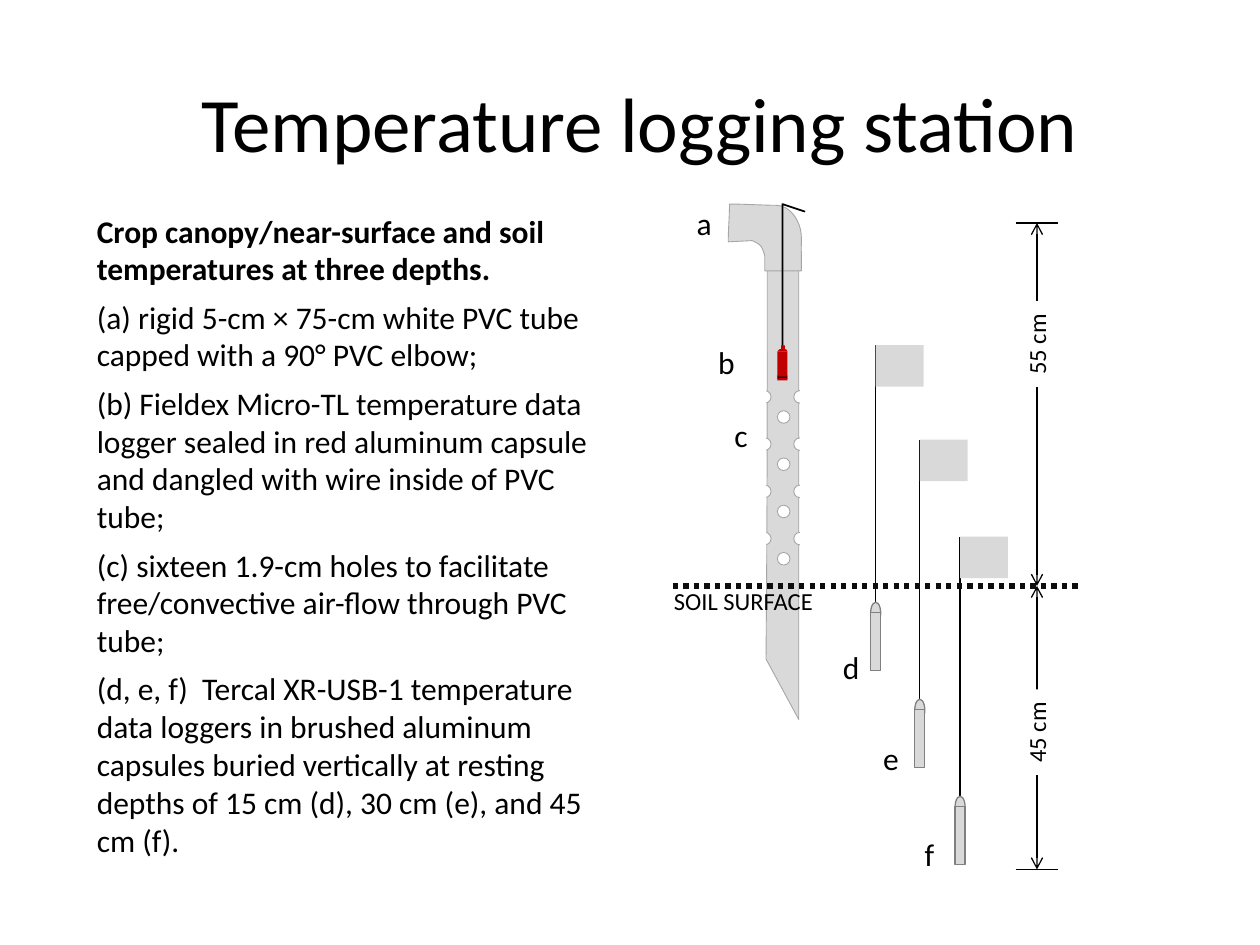
from dataclasses import dataclass

from lxml.etree import SubElement
from pptx import Presentation
from pptx.dml.color import RGBColor
from pptx.enum.dml import MSO_LINE
from pptx.enum.shapes import MSO_CONNECTOR, MSO_SHAPE
from pptx.enum.text import MSO_ANCHOR, MSO_AUTO_SIZE, PP_ALIGN
from pptx.oxml.ns import qn
from pptx.util import Inches, Pt


@dataclass(frozen=True)
class Theme:
    font: str = "Calibri"
    title: int = 44
    body: int = 18
    note: int = 14
    black: str = "000000"
    white: str = "FFFFFF"
    soil: str = "0D0D0D"
    pvc: str = "D9D9D9"
    pvc_edge: str = "A6A6A6"
    metal_edge: str = "808080"
    red: str = "C00000"


THEME = Theme()

BODY = [
    "Crop canopy/near-surface and soil temperatures at three depths.",
    "(a) rigid 5-cm × 75-cm white PVC tube capped with a 90° PVC elbow;",
    "(b) Fieldex Micro-TL temperature data logger sealed in red aluminum "
    "capsule and dangled with wire inside of PVC tube;",
    "(c) sixteen 1.9-cm holes to facilitate free/convective air-flow through "
    "PVC tube;",
    "(d, e, f)  Tercal XR-USB-1 temperature data loggers in brushed aluminum "
    "capsules buried vertically at resting depths of 15 cm (d), 30 cm (e), "
    "and 45 cm (f).",
]
LABELS = [("a", 5.43, 1.57), ("b", 5.6, 2.67), ("c", 5.73, 3.25),
          ("d", 6.59, 5.09), ("e", 6.91, 5.82), ("f", 7.24, 6.58)]

# Outlines: a pair is a corner, six numbers are a Bézier curve
TUBE = [(6.09, 2.09), (6.34, 2.09), (6.34, 5.71), (6.08, 5.23),
        (6.09, 4.19, 6.09, 3.14, 6.09, 2.09)]
ELBOW = [(6.36, 2.15), (6.07, 2.15), (6.07, 2.03),
         (6.05, 1.96, 6.04, 1.94, 5.97, 1.91), (5.78, 1.92),
         (5.78, 1.82, 5.79, 1.72, 5.79, 1.62),
         (5.92, 1.62, 6.06, 1.63, 6.17, 1.63),
         (6.29, 1.64, 6.36, 1.78, 6.36, 1.88),
         (6.36, 1.98, 6.36, 2.04, 6.36, 2.15)]
HANGER = [(6.21, 2.75), (6.21, 1.62), (6.39, 1.68)]
CAP = [(6.17, 2.79), (6.25, 2.79), (6.24, 2.77, 6.25, 2.78, 6.23, 2.77),
       (6.23, 2.74), (6.2, 2.74), (6.2, 2.77),
       (6.18, 2.77, 6.18, 2.78, 6.17, 2.79)]

# Buried loggers: wire x, flag top, capsule top
STAKES = [(6.95, 2.74, 4.78), (7.3, 3.49, 5.55), (7.62, 4.26, 6.32)]
SURFACE, TOP, BOTTOM = 4.65, 1.77, 6.9
SCALE_X = 8.23


def color(value):
    return RGBColor.from_string(value)


def paint(s, fill=None, line=None, width=0.5):
    s.shadow.inherit = False
    if fill:
        s.fill.solid()
        s.fill.fore_color.rgb = color(fill)
    else:
        s.fill.background()
    if line:
        s.line.color.rgb = color(line)
        s.line.width = Pt(width)
    else:
        s.line.fill.background()


def add_block(shapes, kind, x, y, w, h, fill, line=None, width=0.5):
    s = shapes.add_shape(kind, Inches(x), Inches(y), Inches(w), Inches(h))
    paint(s, fill, line, width)
    return s


def flatten(outline, steps=10):
    """Turn corners and Bézier curves into a list of points."""
    points = [outline[0]]
    for part in outline[1:]:
        if len(part) == 2:
            points.append(part)
            continue
        start, c1, c2, end = points[-1], part[:2], part[2:4], part[4:]
        for t in (i / steps for i in range(1, steps + 1)):
            u = 1 - t
            points.append(tuple(
                u**3 * a + 3 * u * u * t * b + 3 * u * t * t * c + t**3 * d
                for a, b, c, d in zip(start, c1, c2, end)))
    return points


def add_outline(shapes, outline, fill=None, line=None, width=0.5, close=True):
    points = [(Inches(x), Inches(y)) for x, y in flatten(outline)]
    builder = shapes.build_freeform(*points[0])
    builder.add_line_segments(points[1:], close=close)
    paint(builder.convert_to_shape(), fill, line, width)


def add_line(shapes, x1, y1, x2, y2, line=THEME.black, width=0.75,
             dash=None, arrows=False):
    s = shapes.add_connector(MSO_CONNECTOR.STRAIGHT, Inches(x1), Inches(y1),
                             Inches(x2), Inches(y2))
    s.line.color.rgb = color(line)
    s.line.width = Pt(width)
    if dash:
        s.line.dash_style = dash
    if arrows:
        for end in ("a:headEnd", "a:tailEnd"):
            SubElement(s.line._get_or_add_ln(), qn(end), type="arrow")
    SubElement(s._element.spPr, qn("a:effectLst"))


def add_text(shapes, paragraphs, x, y, w, h, size, wrap=False, after=None):
    s = shapes.add_textbox(Inches(x), Inches(y), Inches(w), Inches(h))
    tf = s.text_frame
    tf.word_wrap = wrap
    tf.auto_size = MSO_AUTO_SIZE.SHAPE_TO_FIT_TEXT
    tf.text = "\n".join(paragraphs)
    for p in tf.paragraphs:
        if after is not None:
            p.space_after = Pt(after)
        for r in p.runs:
            r.font.name = THEME.font
            r.font.size = Pt(size)
            r.font.color.rgb = color(THEME.black)
    return s


def add_stake(shapes, x, flag_top):
    add_line(shapes, x, flag_top + 2.08, x, flag_top)
    add_block(shapes, MSO_SHAPE.RECTANGLE, x, flag_top, 0.38, 0.33, THEME.pvc)


def add_capsule(shapes, x, top):
    parts = shapes.add_group_shape().shapes
    for kind, y, h in ((MSO_SHAPE.OVAL, top, 0.17),
                       (MSO_SHAPE.RECTANGLE, top + 0.08, 0.46)):
        add_block(parts, kind, x - 0.04, y, 0.08, h,
                  THEME.pvc, THEME.metal_edge, 0.75)


def add_depth(shapes, text, y1, y2, label_y):
    add_line(shapes, SCALE_X, y1, SCALE_X, y2, arrows=True)
    s = add_text(shapes, [text], SCALE_X - 0.34, label_y, 0.68, 0.34,
                 THEME.note)
    s.rotation = 270
    s.fill.solid()
    s.fill.fore_color.rgb = color(THEME.white)


def add_holes(shapes):
    parts = shapes.add_group_shape().shapes
    for x, first in ((6.17, 3.26), (6.3, 3.1), (6.02, 3.1)):
        for row in range(4):
            add_block(parts, MSO_SHAPE.OVAL, x, first + row * 0.375, 0.1, 0.1,
                      THEME.white, THEME.pvc_edge)
    # White strips trim the side holes at the tube walls
    for x in (6.35, 5.93):
        add_block(shapes, MSO_SHAPE.RECTANGLE, x, 3.07, 0.15, 1.33,
                  THEME.white)


def add_red_logger(shapes):
    parts = shapes.add_group_shape().shapes
    add_outline(parts, HANGER, line=THEME.black, width=1, close=False)
    for y, h, fill in ((2.98, 0.03, THEME.black), (2.79, 0.2, THEME.red),
                       (3, 0.02, THEME.red)):
        add_block(parts, MSO_SHAPE.RECTANGLE, 6.17, y, 0.08, h, fill)
    add_outline(parts, CAP, fill=THEME.red)


def main():
    prs = Presentation()
    prs.slide_width, prs.slide_height = Inches(10), Inches(7.5)
    shapes = prs.slides.add_slide(prs.slide_layouts[6]).shapes

    # Tube, flags and soil surface
    for outline in (TUBE, ELBOW):
        add_outline(shapes, outline, THEME.pvc, THEME.pvc_edge)
    for x, flag_top, _ in STAKES:
        add_stake(shapes, x, flag_top)
    add_line(shapes, 5.34, SURFACE, 8.59, SURFACE, THEME.soil, 3,
             MSO_LINE.ROUND_DOT)
    for text, x, y in LABELS:
        add_text(shapes, [text], x, y, 0.32, 0.4, THEME.body)
    add_text(shapes, ["SOIL SURFACE"], 5.25, 4.6, 1.31, 0.34, THEME.note)

    # Height and depth scale
    add_depth(shapes, "55 cm", TOP, SURFACE, 2.56)
    add_depth(shapes, "45 cm", SURFACE, BOTTOM, 5.64)
    for y in (TOP, BOTTOM):
        add_line(shapes, SCALE_X - 0.17, y, SCALE_X + 0.17, y)

    # Holes and loggers
    add_holes(shapes)
    add_red_logger(shapes)
    for x, _, top in STAKES:
        add_capsule(shapes, x, top)

    # Description and title
    s = add_text(shapes, BODY, 0.67, 1.63, 4.33, 5.28, THEME.body, True, 6)
    s.text_frame.paragraphs[0].runs[0].font.bold = True
    s = add_text(shapes, ["Temperature logging station"], 0.83, 0.16, 8.5,
                 1.61, THEME.title, True)
    s.text_frame.auto_size = MSO_AUTO_SIZE.NONE
    s.text_frame.vertical_anchor = MSO_ANCHOR.MIDDLE
    s.text_frame.paragraphs[0].alignment = PP_ALIGN.CENTER

    prs.save("out.pptx")


if __name__ == "__main__":
    main()
